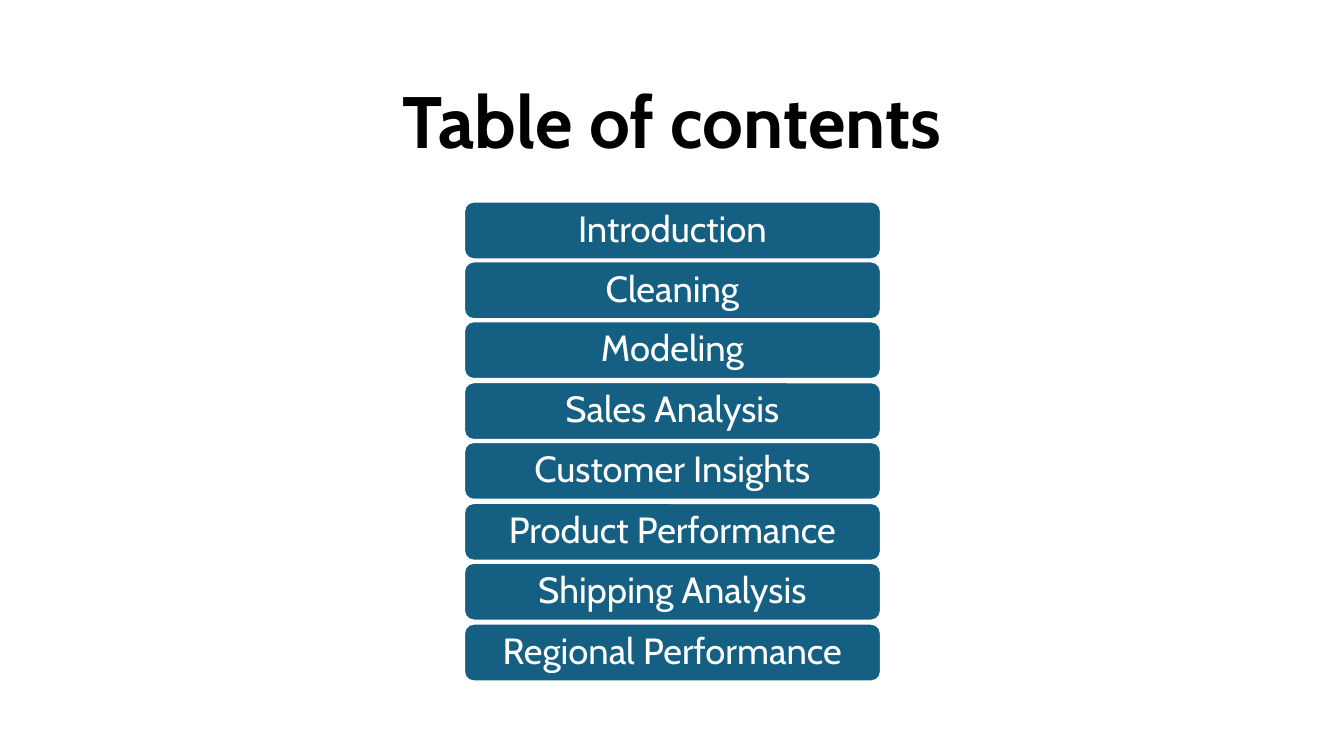
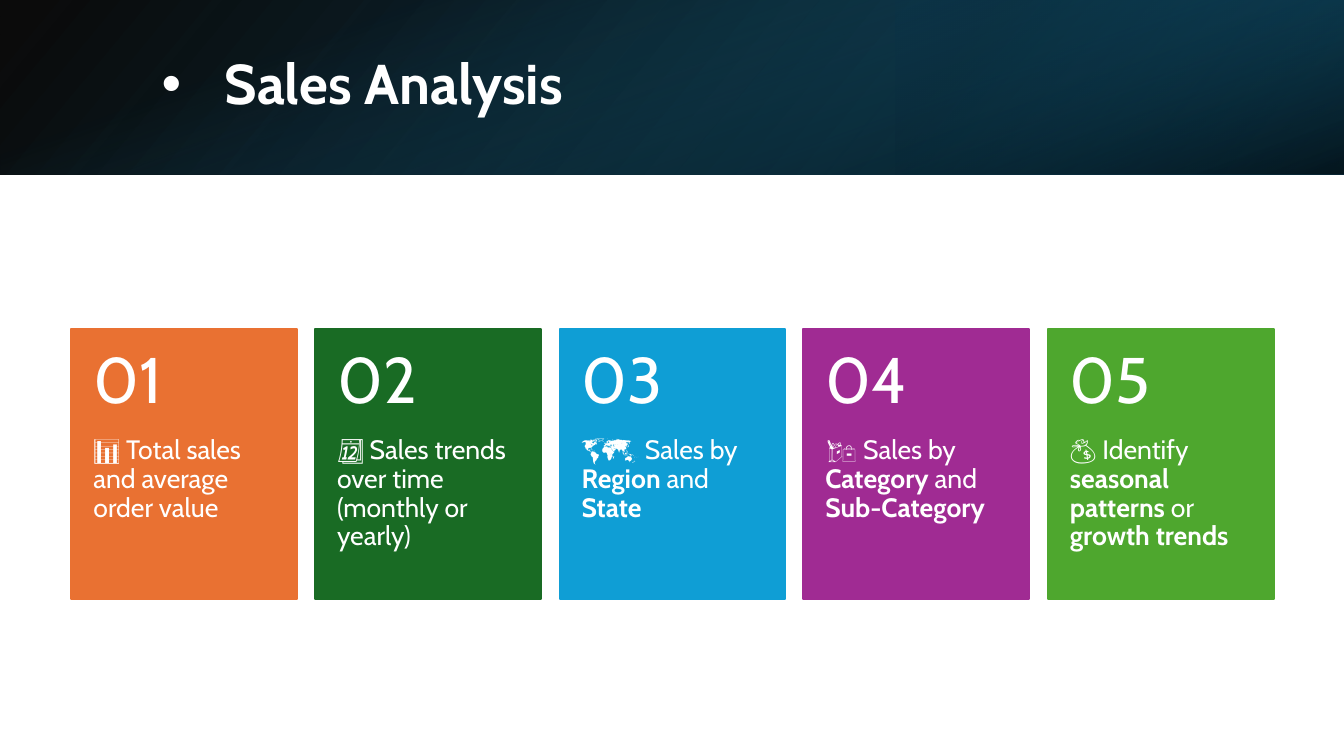
"""Build a contents slide and a sales analysis slide."""
from dataclasses import dataclass

from lxml.etree import SubElement
from pptx import Presentation
from pptx.dml.color import RGBColor
from pptx.enum.shapes import MSO_SHAPE as Preset
from pptx.enum.text import MSO_ANCHOR as Anchor, MSO_AUTO_SIZE as AutoSize, PP_ALIGN as Align
from pptx.oxml.ns import qn
from pptx.util import Emu, Pt

EMU_PER_PX = 9525
SLIDE_W, SLIDE_H = 1280, 720
TITLE_ONLY = 5
FONT = "Cabin"
WHITE, BLACK, TEAL = "FFFFFF", "000000", "156082"


@dataclass(frozen=True)
class Box:
    left: int
    top: int
    width: int
    height: int


@dataclass(frozen=True)
class Stop:
    position: int
    color: str
    alpha: int


@dataclass(frozen=True)
class Band:
    box: Box
    stops: tuple[Stop, ...]
    angle: int
    rotation: int = 0
    flipped: bool = False


@dataclass(frozen=True)
class Card:
    color: str
    text: str


TOPICS = (
    "Introduction", "Cleaning", "Modeling", "Sales Analysis", "Customer Insights",
    "Product Performance", "Shipping Analysis", "Regional Performance",
)
FIRST_TOPIC = Box(442, 192, 397, 55)
LAST_TOPIC_TOP = 594

BAND_H = 166
BANDS = (
    Band(Box(0, 0, SLIDE_W, BAND_H),
         (Stop(0, BLACK, 96), Stop(100, "104862", 100)), 140, flipped=True),
    Band(Box(853, 0, SLIDE_W - 853, BAND_H),
         (Stop(19, "0B3041", 68), Stop(100, TEAL, 79)), 320, 180, True),
    Band(Box((SLIDE_W - BAND_H) // 2, (BAND_H - SLIDE_W) // 2, BAND_H, SLIDE_W),
         (Stop(23, TEAL, 0), Stop(99, BLACK, 74)), 340, 90),
)

CARDS = (
    Card("E97132", "📊 Total sales and average order value"),
    Card("196B24", "📆 Sales trends over time (monthly or yearly)"),
    Card("0F9ED5", "🗺️ Sales by **Region** and **State**"),
    Card("A02B93", "🛍️ Sales by **Category** and **Sub-Category**"),
    Card("4EA72E", "💰 Identify **seasonal patterns** or **growth trends**"),
)
FIRST_CARD = Box(68, 313, 215, 258)
LAST_CARD_LEFT = 998
NUMBER_H = 103


def px(length: int) -> Emu:
    """Turn pixels into EMU."""
    return Emu(length * EMU_PER_PX)


def rgb(color: str) -> RGBColor:
    """Turn a hex string into a colour."""
    return RGBColor.from_string(color)


def area(box: Box) -> tuple[Emu, Emu, Emu, Emu]:
    """Give a box as left, top, width and height in EMU."""
    return px(box.left), px(box.top), px(box.width), px(box.height)


def spread(first: int, last: int, count: int) -> list[int]:
    """Place equally spaced positions from first to last."""
    return [first + (last - first) * i // (count - 1) for i in range(count)]


def write(shape, text: str, *, size: int, color: str = WHITE, bold: bool = False,
          align: Align = Align.LEFT, anchor: Anchor = Anchor.MIDDLE,
          insets: tuple[int, int, int, int] = (10, 5, 10, 5)):
    """Fill a shape with one paragraph, with bold parts between double asterisks."""
    frame = shape.text_frame
    frame.word_wrap, frame.auto_size = True, AutoSize.NONE
    frame.vertical_anchor = anchor
    frame.margin_left, frame.margin_top, frame.margin_right, frame.margin_bottom = map(px, insets)
    paragraph = frame.paragraphs[0]
    paragraph.alignment, paragraph.line_spacing = align, 0.9
    for i, part in enumerate(text.split("**")):
        if part:
            run = paragraph.add_run()
            run.text = part
            run.font.name, run.font.size = FONT, Pt(size)
            run.font.bold = bold or i % 2 == 1
            run.font.color.rgb = rgb(color)
    return paragraph


def add_panel(slide, preset: Preset, box: Box, fill: str, line: str):
    """Draw a filled and outlined shape."""
    panel = slide.shapes.add_shape(preset, *area(box))
    panel.shadow.inherit = False
    panel.fill.solid()
    panel.fill.fore_color.rgb = rgb(fill)
    panel.line.color.rgb = rgb(line)
    panel.line.width = Pt(1.5)
    return panel


def add_band(slide, band: Band) -> None:
    """Draw a rectangle with a translucent gradient."""
    shape = slide.shapes.add_shape(Preset.RECTANGLE, *area(band.box))
    shape.shadow.inherit = False
    shape.line.fill.background()
    shape.rotation = band.rotation
    properties = shape.element.spPr
    if band.flipped:
        properties.find(qn("a:xfrm")).set("flipH", "1")
    shape.fill.gradient()
    gradient = properties.find(qn("a:gradFill"))
    for child in list(gradient):
        gradient.remove(child)
    stop_list = SubElement(gradient, qn("a:gsLst"))
    for stop in band.stops:
        entry = SubElement(stop_list, qn("a:gs"), pos=str(stop.position * 1000))
        color = SubElement(entry, qn("a:srgbClr"), val=stop.color)
        SubElement(color, qn("a:alpha"), val=str(stop.alpha * 1000))
    SubElement(gradient, qn("a:lin"), ang=str(band.angle * 60000), scaled="0")


def add_title(slide, text: str, box: Box, **text_format):
    """Move the title placeholder to the front and write it."""
    title = slide.shapes.title
    title.left, title.top, title.width, title.height = area(box)
    slide.shapes.element.append(title.element)
    return write(title, text, bold=True, **text_format)


def add_bullet(paragraph, indent: int) -> None:
    """Give a paragraph a round bullet with a hanging indent."""
    properties = paragraph._p.get_or_add_pPr()
    properties.set("marL", str(px(indent)))
    properties.set("indent", str(px(-indent)))
    SubElement(properties, qn("a:buFont"), typeface="Arial")
    SubElement(properties, qn("a:buChar"), char="•")


def build_contents(slide) -> None:
    """Draw the table of contents."""
    add_title(slide, "Table of contents", Box(88, 59, 1104, 119),
              size=52, color=BLACK, align=Align.CENTER)
    first = FIRST_TOPIC
    for topic, top in zip(TOPICS, spread(first.top, LAST_TOPIC_TOP, len(TOPICS))):
        box = Box(first.left, top, first.width, first.height)
        pill = add_panel(slide, Preset.ROUNDED_RECTANGLE, box, TEAL, WHITE)
        write(pill, topic, size=26, align=Align.CENTER)


def build_sales(slide) -> None:
    """Draw the sales analysis header and its numbered cards."""
    for band in BANDS:
        add_band(slide, band)
    heading = add_title(slide, "Sales Analysis", Box(144, 36, 1054, 92), size=40)
    add_bullet(heading, 60)
    first = FIRST_CARD
    lefts = spread(first.left, LAST_CARD_LEFT, len(CARDS))
    for number, (card, left) in enumerate(zip(CARDS, lefts), start=1):
        box = Box(left, first.top, first.width, first.height)
        panel = add_panel(slide, Preset.RECTANGLE, box, card.color, card.color)
        write(panel, card.text, size=19, anchor=Anchor.TOP, insets=(21, NUMBER_H, 21, 34))
        label = slide.shapes.add_textbox(*area(Box(left, first.top, first.width, NUMBER_H)))
        write(label, f"{number:02}", size=46, insets=(21, 17, 21, 17))


def main() -> None:
    """Build and save the presentation."""
    deck = Presentation()
    deck.slide_width, deck.slide_height = px(SLIDE_W), px(SLIDE_H)
    for build in (build_contents, build_sales):
        build(deck.slides.add_slide(deck.slide_layouts[TITLE_ONLY]))
    deck.save("out.pptx")


if __name__ == "__main__":
    main()
